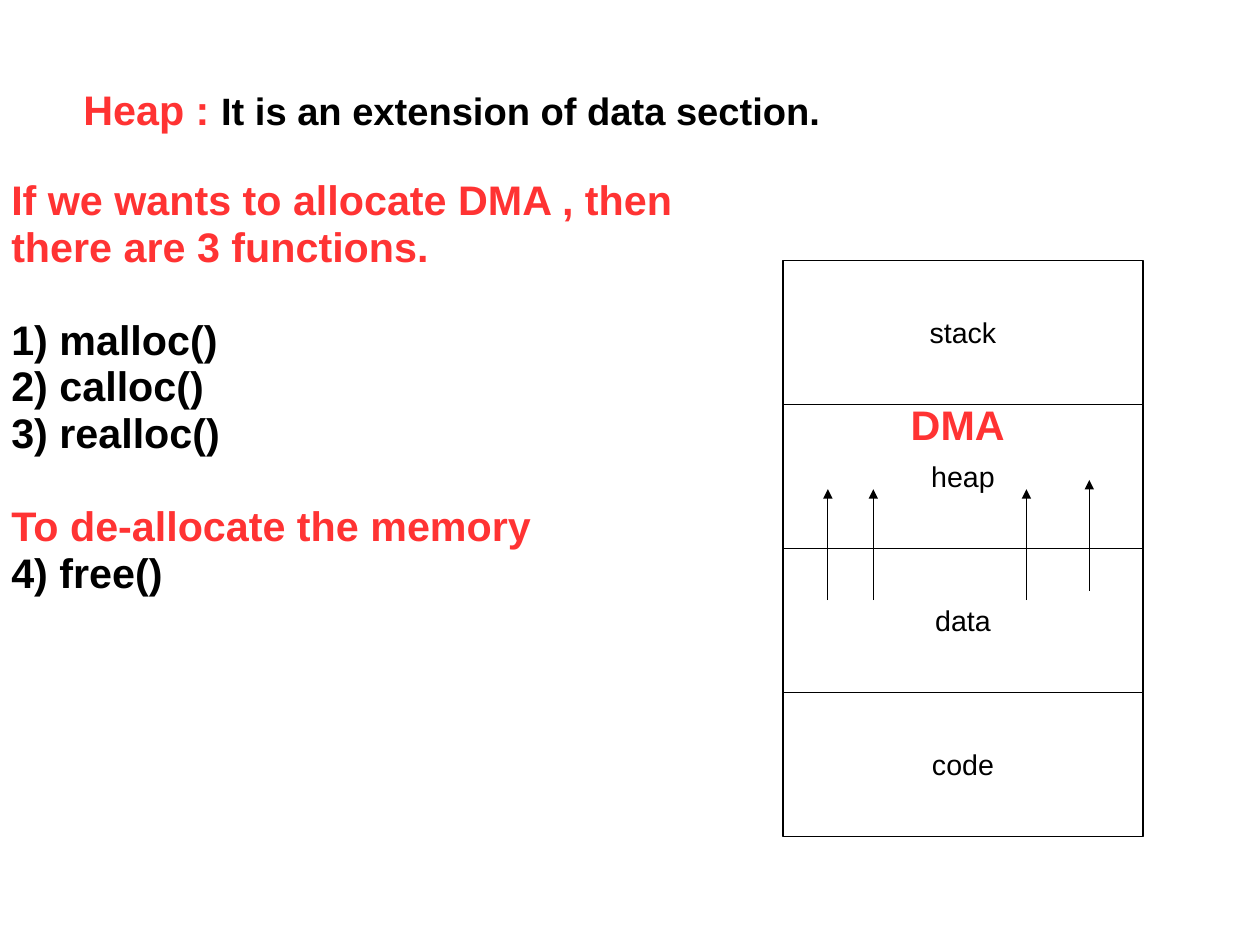
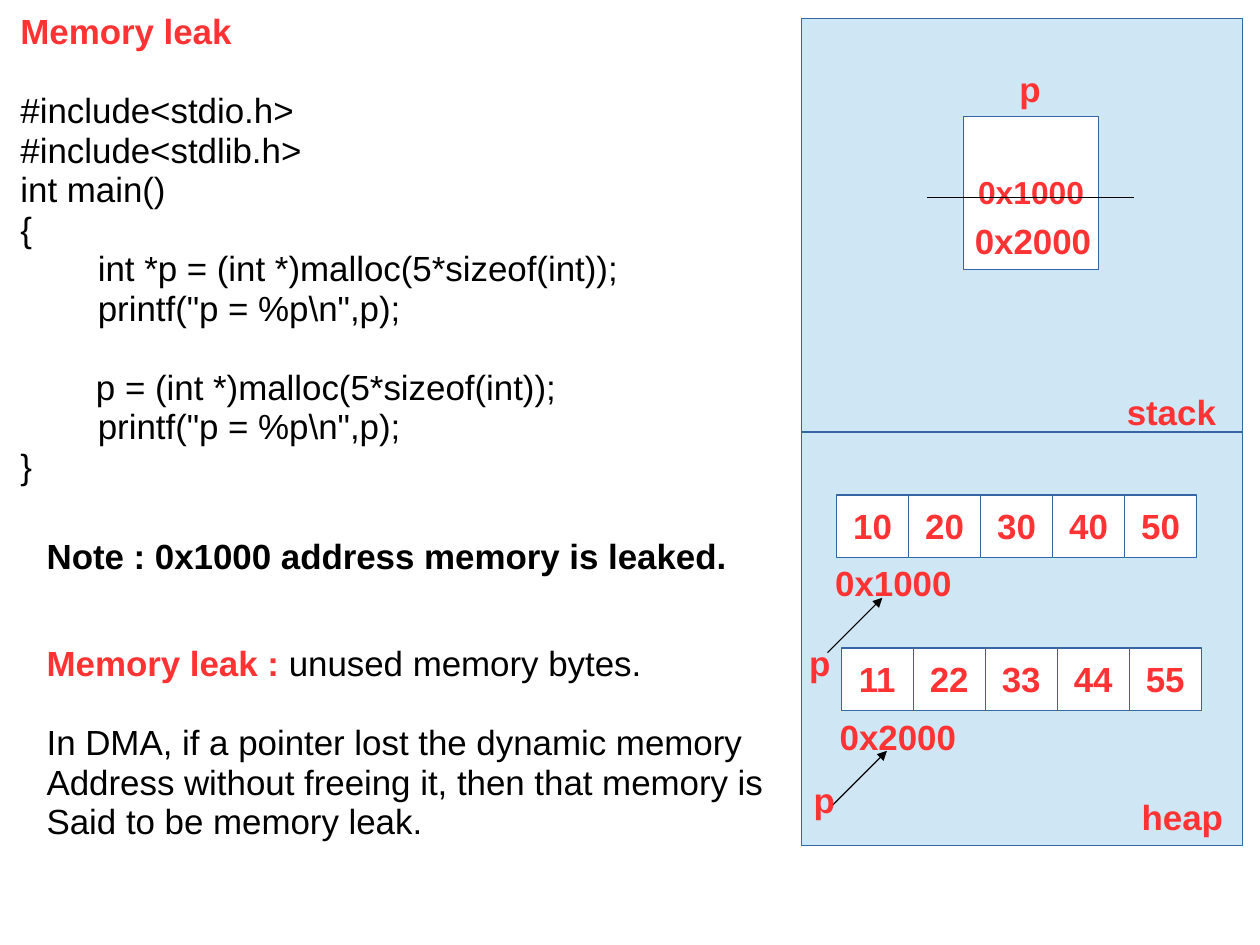
from typing import NamedTuple

from lxml.etree import SubElement
from pptx import Presentation
from pptx.dml.color import RGBColor
from pptx.enum.shapes import MSO_CONNECTOR, MSO_SHAPE
from pptx.enum.text import MSO_ANCHOR, PP_ALIGN
from pptx.oxml.ns import qn
from pptx.util import Pt

RED, BLACK, WHITE = "FF3333", "000000", "FFFFFF"
BLUE, PALE_BLUE = "3465A4", "CFE7F5"
FONT = "Arial"
LEADING = 1.13
TAB_STOP = 35.4


def colour(code):
    """Turn a hex string into a colour."""
    return RGBColor.from_string(code)


class Span(NamedTuple):
    """A stretch of text in one style."""
    text: str
    colour: str = BLACK
    bold: bool = False
    size: int = 22


class Line(NamedTuple):
    """A paragraph of spans, with an optional empty line above."""
    spans: list
    gap: bool = False


class Deck:
    """Holds the shared style and the current page."""

    def __init__(self, width, height):
        """Start an empty presentation."""
        self.deck = Presentation()
        self.deck.slide_width, self.deck.slide_height = Pt(width), Pt(height)
        self.page = None

    def add_page(self):
        """Begin a blank page."""
        self.page = self.deck.slides.add_slide(self.deck.slide_layouts[6])

    def style(self, font, span):
        """Apply the look of a span to a font."""
        font.name, font.size, font.bold = FONT, Pt(span.size), span.bold
        font.color.rgb = colour(span.colour)

    def fill_text(self, frame, lines, align=PP_ALIGN.LEFT):
        """Fill a text frame with lines."""
        for index, line in enumerate(lines):
            paragraph = frame.paragraphs[0] if index == 0 else frame.add_paragraph()
            leading = Pt(LEADING * max(span.size for span in line.spans))
            paragraph.alignment = align
            paragraph.line_spacing = leading
            if line.gap:
                paragraph.space_before = leading
            if any("\t" in span.text for span in line.spans):
                tabs = SubElement(paragraph._p.get_or_add_pPr(), qn("a:tabLst"))
                SubElement(tabs, qn("a:tab"), pos=str(Pt(TAB_STOP)), algn="l")
            uniform = len({span[1:] for span in line.spans}) == 1
            if uniform:
                self.style(paragraph.font, line.spans[0])
            for span in line.spans:
                run = paragraph.add_run()
                run.text = span.text
                if not uniform:
                    self.style(run.font, span)

    def text(self, left, top, width, height, lines):
        """Place a left-aligned text box."""
        box = self.page.shapes.add_textbox(Pt(left), Pt(top), Pt(width), Pt(height))
        box.text_frame.word_wrap = True
        box.text_frame.margin_right = 0
        self.fill_text(box.text_frame, lines)

    def label(self, left, top, width, text, size=22, height=33.8):
        """Place a bold red label."""
        self.text(left, top, width, height, [Line([Span(text, RED, True, size)])])

    def box(self, left, top, width, height, span=None, fill=WHITE, line=BLUE):
        """Place an outlined rectangle with optional centred text."""
        box = self.page.shapes.add_shape(
            MSO_SHAPE.RECTANGLE, Pt(left), Pt(top), Pt(width), Pt(height))
        box.shadow.inherit = False
        box.fill.solid()
        box.fill.fore_color.rgb = colour(fill)
        box.line.color.rgb = colour(line)
        box.line.width = Pt(0.75)
        if span:
            box.text_frame.word_wrap = False
            box.text_frame.vertical_anchor = MSO_ANCHOR.MIDDLE
            self.fill_text(box.text_frame, [Line([span])], PP_ALIGN.CENTER)

    def line(self, start, end, arrow=True):
        """Draw a straight line, with an arrowhead at its end if wanted."""
        line = self.page.shapes.add_connector(
            MSO_CONNECTOR.STRAIGHT, *(Pt(value) for value in (*start, *end)))
        line.line.color.rgb = colour(BLACK)
        line.line.width = Pt(0.75)
        if arrow:
            SubElement(line.line._get_or_add_ln(), qn("a:tailEnd"), type="triangle")
        SubElement(line._element.spPr, qn("a:effectLst"))

    def memory_block(self, left, top, numbers, address, pointer_top):
        """Draw a row of cells with its address and the pointer to it."""
        for index, number in enumerate(numbers):
            self.box(left + index * 45.36, top, 45.36, 39.6,
                     Span(str(number), RED, True))
        self.label(left - 8, top + 40.3, 87.8, address)
        self.line((left - 5.7, top + 99.3), (left + 28.8, top + 64.8))
        self.label(left - 24.4, pointer_top, 27.4, "p")


def heap_page(deck):
    """Build the page about the heap."""
    deck.add_page()
    deck.text(45.4, 51.1, 486, 38.2, [Line([
        Span("Heap : ", RED, True, 26),
        Span("It is an extension of data section.", BLACK, True, 24)])])
    for index, section in enumerate(["stack", "heap", "data", "code"]):
        deck.box(493.2, 164.2 + index * 90.72, 226.8, 90.72,
                 Span(section, size=18), line=BLACK)
    for x, bottom in [(521.5, 378), (550.1, 378), (686.2, 372.2), (646.6, 378)]:
        deck.line((x, bottom), (x, bottom - 69.8))
    deck.label(566.6, 249.8, 73.4, "DMA", 26, 38.2)
    functions = [
        ("If we wants to allocate DMA , then", RED, False),
        ("there are 3 functions.", RED, False),
        ("1) malloc()", BLACK, True),
        ("2) calloc()", BLACK, False),
        ("3) realloc()", BLACK, False),
        ("To de-allocate the memory", RED, True),
        ("4) free()", BLACK, False),
    ]
    deck.text(0, 108, 431.3, 272.9,
              [Line([Span(text, shade, True, 26)], gap)
               for text, shade, gap in functions])


def leak_page(deck):
    """Build the page about memory leaks."""
    deck.add_page()
    code = [
        ("#include<stdio.h>", True),
        ("#include<stdlib.h>", False),
        ("int main()", False),
        ("{", False),
        ("        int *p = (int *)malloc(5*sizeof(int));", False),
        ('        printf("p = %p\\n",p);', False),
        ("\t  p = (int *)malloc(5*sizeof(int));", True),
        ('        printf("p = %p\\n",p);', False),
        ("}", False),
    ]
    deck.text(5.8, 4.3, 415.4, 306.7,
              [Line([Span("Memory leak", RED, True)])]
              + [Line([Span(text)], gap) for text, gap in code])

    for index in range(2):
        deck.box(504.7, 11.5 + index * 260.6, 277.9, 260.6, fill=PALE_BLUE)
    deck.label(702.7, 244.1, 70.6, "stack")
    deck.label(712.1, 499, 65.5, "heap")

    deck.box(607, 73.4, 85, 96.5, Span("0x1000", RED, True, 20))
    deck.label(635, 40.3, 27.4, "p")
    deck.line((583.9, 124.6), (714.2, 124.6), arrow=False)
    deck.label(607, 136.1, 87.8, "0x2000")
    deck.memory_block(527, 311.8, range(10, 60, 10), "0x1000", 402.5)
    deck.memory_block(529.9, 408.2, range(11, 66, 11), "0x2000", 488.2)

    deck.text(22.3, 334.8, 449.3, 33.8, [
        Line([Span("Note : 0x1000 address memory is leaked.", bold=True)])])
    deck.text(22.3, 402.5, 477.4, 132.5, [
        Line([Span("Memory leak : ", RED, True), Span("unused memory bytes.")]),
        Line([Span("In DMA, if a pointer lost the dynamic memory")], True),
        Line([Span("Address without freeing it, then that memory is")]),
        Line([Span("Said to be memory leak.")])])


def main():
    """Build and save the presentation."""
    deck = Deck(793.7, 595.3)
    heap_page(deck)
    leak_page(deck)
    deck.deck.save("out.pptx")


if __name__ == "__main__":
    main()
